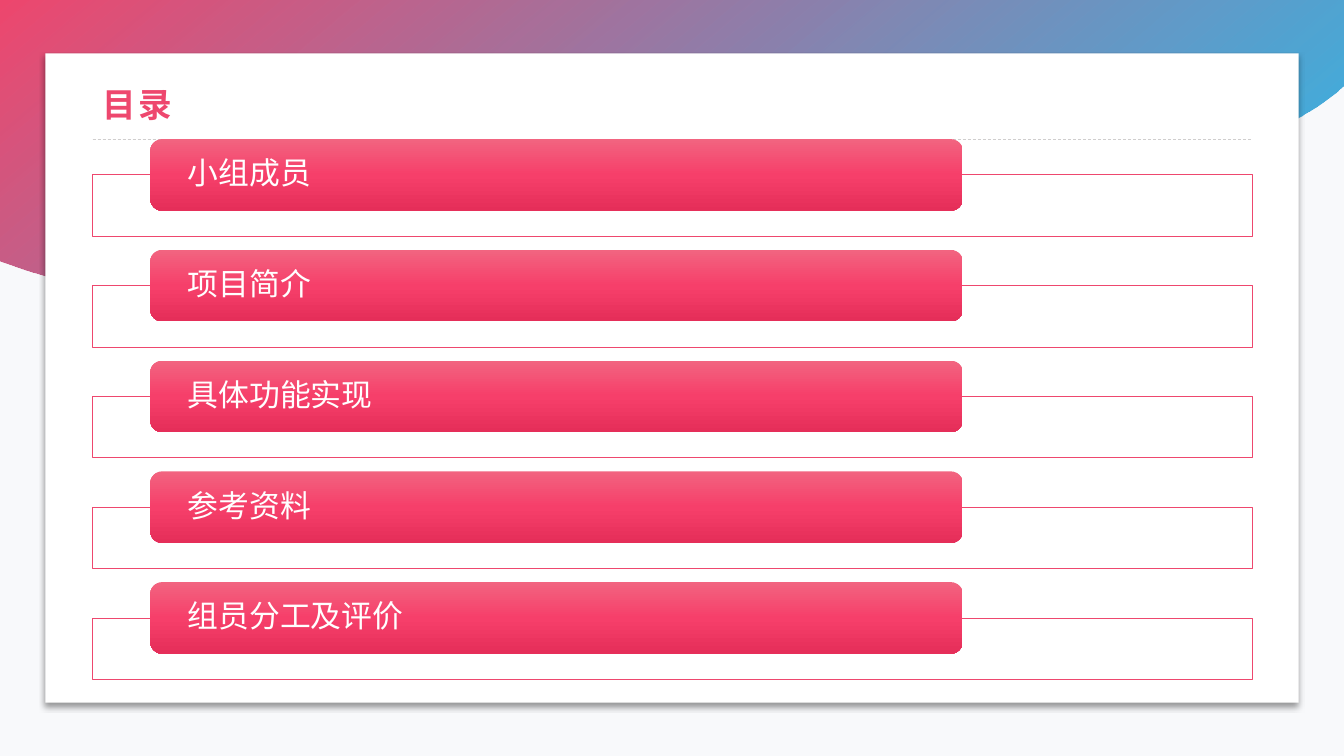
"""Build the contents slide: five labelled bars on a white card over a gradient wave."""
from dataclasses import dataclass

from lxml import etree
from pptx import Presentation
from pptx.dml.color import RGBColor
from pptx.enum.dml import MSO_LINE
from pptx.enum.shapes import MSO_CONNECTOR, MSO_SHAPE
from pptx.enum.text import MSO_ANCHOR, MSO_AUTO_SIZE, PP_ALIGN
from pptx.oxml.ns import qn
from pptx.shapes.autoshape import Shape
from pptx.slide import Slide
from pptx.text.text import TextFrame
from pptx.util import Inches, Pt

RECTANGLE = MSO_SHAPE.RECTANGLE
ROUNDED = MSO_SHAPE.ROUNDED_RECTANGLE
STRAIGHT = MSO_CONNECTOR.STRAIGHT
DASH = MSO_LINE.DASH
LEFT = PP_ALIGN.LEFT
MIDDLE = MSO_ANCHOR.MIDDLE
NO_FIT = MSO_AUTO_SIZE.NONE

WIDTH, HEIGHT = Inches(13.33), Inches(7.5)
COLORS = {
    "backdrop": "F8F9FB",
    "accent": "EE476E",
    "sky": "16B3E8",
    "white": "FFFFFF",
    "divider": "D0CECE",
    "shadow": "000000",
    "bar_top": "F26480",
    "bar_middle": "F63F6A",
    "bar_bottom": "E52E59",
}
TITLE_FONT, ENTRY_FONT = "Noto Sans CJK SC", "Noto Sans CJK JP"
ENTRIES = ["小组成员", "项目简介", "具体功能实现", "参考资料", "组员分工及评价"]
FIRST_ROW, ROW_PITCH, FRAME_DROP = 18.4, 14.65, 4.73
CURVE_STEPS = 30
WAVE_START = (0, 34.4)
WAVE_CURVES = [
    ((9.15, 40.53), (19.95, 41.47), (29.48, 36.53)),
    ((39.75, 31.33), (48.6, 20.13), (59.4, 18.13)),
    ((70.2, 16.13), (81.6, 24), (92.03, 18.93)),
    ((95.03, 17.47), (97.8, 14.8), (100, 11.33)),
]


@dataclass(frozen=True)
class Area:
    """A rectangle in percent of the slide's width and height."""
    left: float
    top: float
    width: float
    height: float

    def emu(self) -> tuple[int, int, int, int]:
        return across(self.left), down(self.top), across(self.width), down(self.height)


@dataclass(frozen=True)
class Stop:
    """A gradient stop: place and opacity in percent."""
    place: int
    color: str
    opacity: int = 100


@dataclass(frozen=True)
class TextStyle:
    """The look of one run of text."""
    font: str
    size: int
    color: str
    bold: bool = False
    spacing: int = 0


WAVE_STOPS = [Stop(0, "accent"), Stop(100, "sky", 90)]
BAR_STOPS = [Stop(0, "bar_top"), Stop(50, "bar_middle"), Stop(100, "bar_bottom")]
TITLE_STYLE = TextStyle(TITLE_FONT, 24, "accent", True, 150)
ENTRY_STYLE = TextStyle(ENTRY_FONT, 22, "white")
CARD = Area(3.38, 7.07, 93.25, 85.87)
TITLE = Area(6.9, 9.87, 86.25, 8.53)


def across(percent: float) -> int:
    return round(WIDTH * percent / 100)


def down(percent: float) -> int:
    return round(HEIGHT * percent / 100)


def rgb(name: str) -> RGBColor:
    return RGBColor.from_string(COLORS[name])


def add_color(parent: etree._Element, name: str, opacity: int) -> None:
    color = etree.SubElement(parent, qn("a:srgbClr"), val=COLORS[name])
    if opacity < 100:
        etree.SubElement(color, qn("a:alpha"), val=str(opacity * 1000))


def fill_gradient(shape: Shape, stops: list[Stop], clockwise: int) -> None:
    shape.fill.gradient()
    shape.fill.gradient_angle = 360 - clockwise
    stop_list = shape._element.spPr.find(".//" + qn("a:gsLst"))
    for preset in list(stop_list):
        stop_list.remove(preset)
    for stop in stops:
        entry = etree.SubElement(stop_list, qn("a:gs"), pos=str(stop.place * 1000))
        add_color(entry, stop.color, stop.opacity)


def write(frame: TextFrame, words: str, style: TextStyle) -> None:
    frame.word_wrap = True
    frame.auto_size = NO_FIT
    frame.vertical_anchor = MIDDLE
    paragraph = frame.paragraphs[0]
    paragraph.alignment = LEFT
    paragraph.line_spacing = 0.9
    run = paragraph.add_run()
    run.text = words
    run.font.name = style.font
    run.font.size = Pt(style.size)
    run.font.bold = style.bold
    run.font.color.rgb = rgb(style.color)
    properties = run._r.get_or_add_rPr()
    etree.SubElement(properties, qn("a:ea"), typeface=style.font)
    if style.spacing:
        properties.set("spc", str(style.spacing))


def add_wave(slide: Slide) -> None:
    points = [(100, 0), (0, 0), WAVE_START]
    for first, second, end in WAVE_CURVES:
        start = points[-1]
        for step in range(1, CURVE_STEPS + 1):
            t = step / CURVE_STEPS
            weights = ((1 - t) ** 3, 3 * t * (1 - t) ** 2, 3 * t * t * (1 - t), t ** 3)
            corners = (start, first, second, end)
            points.append(tuple(
                sum(w * corner[axis] for w, corner in zip(weights, corners))
                for axis in (0, 1)
            ))
    outline = [(across(x), down(y)) for x, y in points]
    builder = slide.shapes.build_freeform(*outline[0])
    builder.add_line_segments(outline[1:], close=True)
    wave = builder.convert_to_shape()
    wave.shadow.inherit = False
    wave.line.fill.background()
    fill_gradient(wave, WAVE_STOPS, 50)


def add_panel(slide: Slide, area: Area, kind: MSO_SHAPE, edge: str = "") -> Shape:
    panel = slide.shapes.add_shape(kind, *area.emu())
    panel.shadow.inherit = False
    panel.fill.solid()
    panel.fill.fore_color.rgb = rgb("white")
    if edge:
        panel.line.color.rgb = rgb(edge)
        panel.line.width = Pt(0.5)
    else:
        panel.line.fill.background()
    return panel


def add_card(slide: Slide) -> None:
    card = add_panel(slide, CARD, RECTANGLE)
    effects = card._element.spPr.find(qn("a:effectLst"))
    shadow = etree.SubElement(effects, qn("a:outerShdw"), blurRad=str(Pt(4)),
                              dist=str(Pt(3)), dir="5400000", rotWithShape="0")
    add_color(shadow, "shadow", 40)


def add_heading(slide: Slide) -> None:
    y = down(TITLE.top + TITLE.height)
    divider = slide.shapes.add_connector(
        STRAIGHT, across(TITLE.left), y, across(TITLE.left + TITLE.width), y)
    divider.line.color.rgb = rgb("divider")
    divider.line.width = Pt(0.5)
    divider.line.dash_style = DASH
    etree.SubElement(divider._element.spPr, qn("a:effectLst"))
    heading = slide.shapes.title
    heading.left, heading.top, heading.width, heading.height = TITLE.emu()
    write(heading.text_frame, "目录", TITLE_STYLE)
    slide.shapes._spTree.append(heading._element)


def add_entry(slide: Slide, row: int, label: str) -> None:
    top = FIRST_ROW + row * ROW_PITCH
    add_panel(slide, Area(TITLE.left, top + FRAME_DROP, TITLE.width, 8.13), RECTANGLE, "accent")
    bar = add_panel(slide, Area(11.18, top, 60.45, 9.47), ROUNDED)
    fill_gradient(bar, BAR_STOPS, 90)
    bar.text_frame.margin_left = bar.text_frame.margin_right = across(2.55)
    bar.text_frame.margin_top = bar.text_frame.margin_bottom = 0
    write(bar.text_frame, label, ENTRY_STYLE)


def main() -> None:
    deck = Presentation()
    deck.slide_width, deck.slide_height = WIDTH, HEIGHT
    slide = deck.slides.add_slide(deck.slide_layouts[5])
    slide.background.fill.solid()
    slide.background.fill.fore_color.rgb = rgb("backdrop")
    add_wave(slide)
    add_card(slide)
    add_heading(slide)
    for row, label in enumerate(ENTRIES):
        add_entry(slide, row, label)
    deck.save("out.pptx")


if __name__ == "__main__":
    main()
